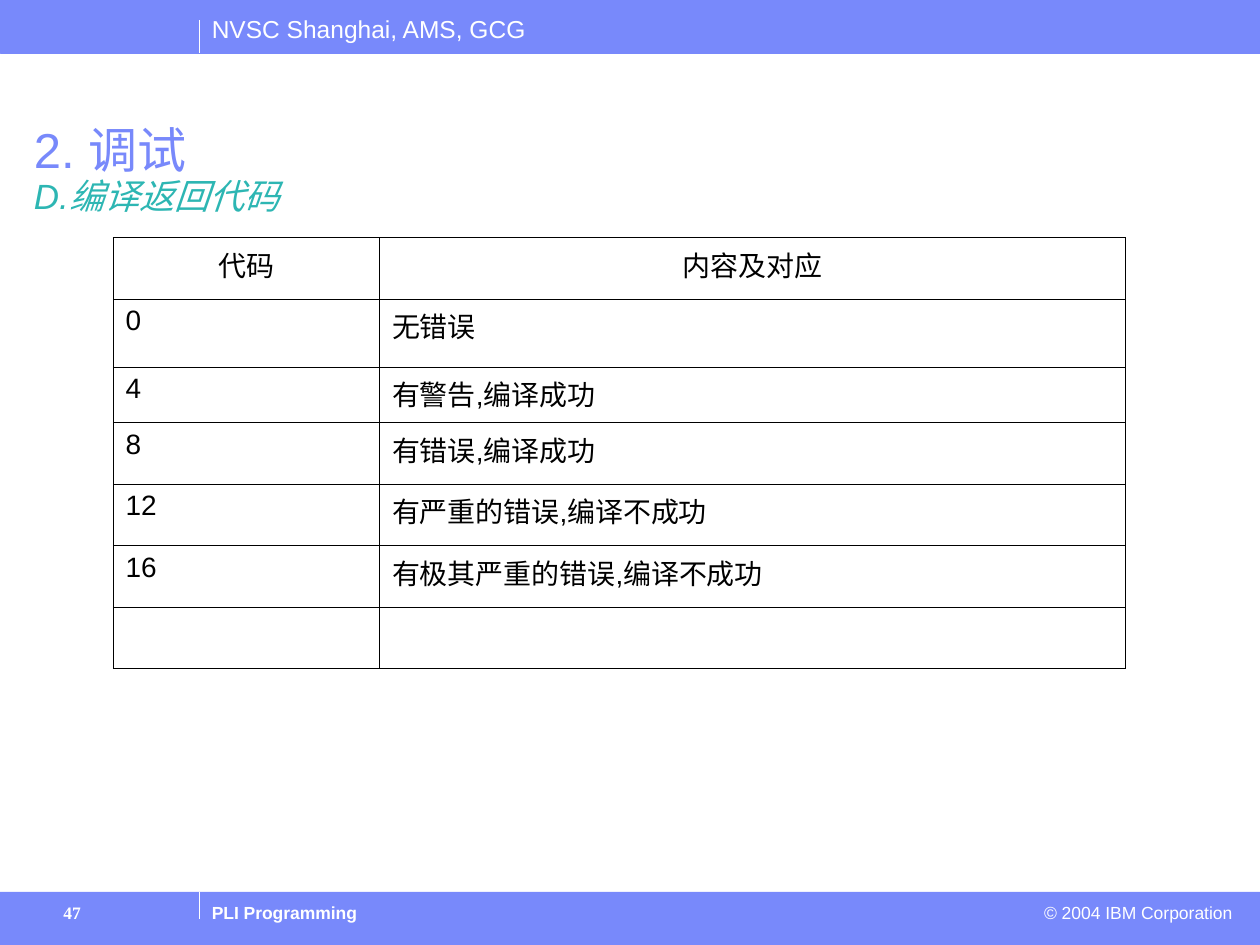
from dataclasses import dataclass

from lxml.etree import SubElement
from pptx import Presentation
from pptx.dml.color import RGBColor
from pptx.enum.shapes import MSO_CONNECTOR, MSO_SHAPE
from pptx.enum.text import MSO_ANCHOR, MSO_AUTO_SIZE, PP_ALIGN
from pptx.oxml.ns import qn
from pptx.util import Cm, Pt

BLUE = RGBColor(0x78, 0x89, 0xFB)
TEAL = RGBColor(0x2D, 0xB6, 0xB3)
WHITE = RGBColor(0xFF, 0xFF, 0xFF)
BLACK = RGBColor(0x00, 0x00, 0x00)

PAGE_WIDTH, PAGE_HEIGHT = 25.4, 19.05
BAR_HEIGHT = 1.07
FOOTER_TOP = PAGE_HEIGHT - BAR_HEIGHT
FOOTER_TEXT_TOP = 18.06
DIVIDER_LEFT = 4.02

COLUMN_WIDTHS = (5.37, 15.04)
ROW_HEIGHTS = (1.24, 1.37, 1.12, 1.24, 1.24, 1.24, 1.24)
RETURN_CODES = (
    ("代码", "内容及对应"),
    ("0", "无错误"),
    ("4", "有警告,编译成功"),
    ("8", "有错误,编译成功"),
    ("12", "有严重的错误,编译不成功"),
    ("16", "有极其严重的错误,编译不成功"),
    ("", ""),
)


@dataclass
class Label:
    text: str
    left: float
    top: float
    width: float
    height: float
    size: int = 10
    font: str = "Arial"
    bold: bool = False
    align: PP_ALIGN = PP_ALIGN.LEFT
    indent: float = 0


@dataclass
class Divider:
    top: float
    bottom: float


LABELS = (
    Label("NVSC Shanghai, AMS, GCG", DIVIDER_LEFT, 0.15, 7.2, 0.86, size=14),
    Label("PLI Programming", DIVIDER_LEFT, FOOTER_TEXT_TOP, 16.51, 0.69, bold=True),
    Label("© 2004 IBM Corporation", 15.82, FOOTER_TEXT_TOP, 9.27, 0.69, align=PP_ALIGN.RIGHT),
    Label("47", 0.43, FOOTER_TEXT_TOP, 2.79, 0.89, font="Times New Roman", bold=True,
          indent=0.6),
)
DIVIDERS = (Divider(0.41, BAR_HEIGHT), Divider(FOOTER_TOP, 18.52))


def set_font(font, color: RGBColor, **values) -> None:
    for name, value in values.items():
        setattr(font, name, value)
    font.color.rgb = color


def add_bar(page, top: float) -> None:
    bar = page.shapes.add_shape(
        MSO_SHAPE.RECTANGLE, 0, Cm(top), Cm(PAGE_WIDTH), Cm(BAR_HEIGHT))
    bar.shadow.inherit = False
    bar.fill.solid()
    bar.fill.fore_color.rgb = BLUE
    bar.line.color.rgb = BLUE
    bar.line.width = Pt(0.25)


def add_divider(page, divider: Divider) -> None:
    line = page.shapes.add_connector(
        MSO_CONNECTOR.STRAIGHT, Cm(DIVIDER_LEFT), Cm(divider.top),
        Cm(DIVIDER_LEFT), Cm(divider.bottom))
    line.line.color.rgb = WHITE
    line.line.width = Pt(0.75)
    SubElement(line._element.spPr, qn("a:effectLst"))


def add_label(page, label: Label) -> None:
    box = page.shapes.add_textbox(
        Cm(label.left), Cm(label.top), Cm(label.width), Cm(label.height))
    box.text_frame.word_wrap = True
    para = box.text_frame.paragraphs[0]
    para.alignment = label.align
    if label.indent:
        para._p.get_or_add_pPr().set("marL", str(Cm(label.indent)))
    span = para.add_run()
    span.text = label.text
    set_font(span.font, WHITE, name=label.font, size=Pt(label.size), bold=label.bold)


def fill_title(page) -> None:
    title = page.shapes.title
    place = {"left": Cm(0.43), "top": Cm(2.41), "width": Cm(22.91), "height": Cm(1.4)}
    for name, value in place.items():
        setattr(title, name, value)
    frame_format = {"word_wrap": True, "auto_size": MSO_AUTO_SIZE.NONE,
                    "vertical_anchor": MSO_ANCHOR.TOP}
    for name, value in frame_format.items():
        setattr(title.text_frame, name, value)
    para = title.text_frame.paragraphs[0]
    para.alignment = PP_ALIGN.LEFT
    para.line_spacing = 0.9
    heading = para.add_run()
    heading.text = "2. 调试"
    set_font(heading.font, BLUE, name="Arial", size=Pt(28))
    para.add_line_break()
    subheading = para.add_run()
    subheading.text = "D.编译返回代码"
    set_font(subheading.font, TEAL, name="Arial", size=Pt(20), italic=True)


def add_borders(cell) -> None:
    properties = cell._tc.get_or_add_tcPr()
    for side in ("lnL", "lnR", "lnT", "lnB"):
        border = SubElement(properties, qn(f"a:{side}"), w=str(Pt(0.45)))
        fill = SubElement(border, qn("a:solidFill"))
        SubElement(fill, qn("a:srgbClr"), val=str(BLACK))


def add_code_table(page) -> None:
    table = page.shapes.add_table(
        len(ROW_HEIGHTS), len(COLUMN_WIDTHS), Cm(2.28), Cm(4.79),
        Cm(sum(COLUMN_WIDTHS)), Cm(sum(ROW_HEIGHTS))).table
    table.first_row = False
    table.horz_banding = False
    for column, width in zip(table.columns, COLUMN_WIDTHS):
        column.width = Cm(width)
    for row, height in zip(table.rows, ROW_HEIGHTS):
        row.height = Cm(height)
    for row_index, texts in enumerate(RETURN_CODES):
        for column_index, text in enumerate(texts):
            cell = table.cell(row_index, column_index)
            add_borders(cell)
            cell.fill.background()
            para = cell.text_frame.paragraphs[0]
            para.alignment = PP_ALIGN.LEFT if row_index else PP_ALIGN.CENTER
            if text:
                span = para.add_run()
                span.text = text
                set_font(span.font, BLACK, name="Arial", size=Pt(16))


def main() -> None:
    deck = Presentation()
    deck.slide_width, deck.slide_height = Cm(PAGE_WIDTH), Cm(PAGE_HEIGHT)
    page = deck.slides.add_slide(deck.slide_layouts[5])

    # Header and footer
    for top in (FOOTER_TOP, 0):
        add_bar(page, top)
    for label in LABELS:
        add_label(page, label)
    for divider in DIVIDERS:
        add_divider(page, divider)

    # Content
    fill_title(page)
    add_code_table(page)
    deck.save("out.pptx")


if __name__ == "__main__":
    main()
